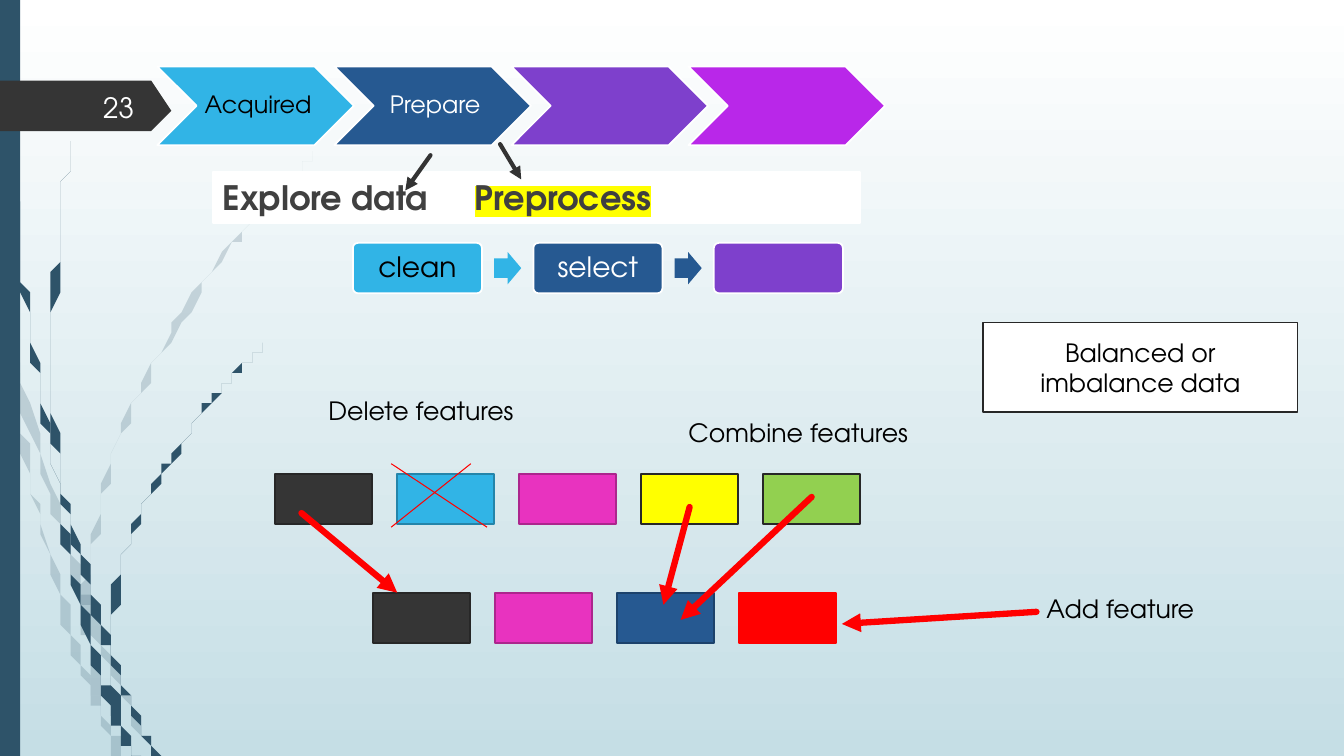
from lxml.etree import SubElement
from pptx import Presentation
from pptx.dml.color import RGBColor as Color
from pptx.enum.shapes import MSO_CONNECTOR as Connector, MSO_SHAPE as Preset
from pptx.enum.text import MSO_ANCHOR as Anchor, PP_ALIGN as Align
from pptx.oxml.ns import qn
from pptx.util import Inches, Pt

WHITE = Color(0xFF, 0xFF, 0xFF)
BLACK = Color(0x00, 0x00, 0x00)
MIST = Color(0xC5, 0xDE, 0xE5)
TEAL = Color(0x2E, 0x53, 0x69)
CHARCOAL = Color(0x35, 0x35, 0x35)
INK = Color(0x27, 0x27, 0x27)
ARROW_GREY = Color(0x33, 0x33, 0x33)
HEADING = Color(0x40, 0x40, 0x40)
SKY = Color(0x31, 0xB4, 0xE6)
SKY_EDGE = Color(0x24, 0x85, 0xAA)
NAVY = Color(0x26, 0x59, 0x91)
NAVY_EDGE = Color(0x1C, 0x42, 0x6B)
PURPLE = Color(0x7E, 0x40, 0xCC)
VIOLET = Color(0xB9, 0x27, 0xE9)
PINK = Color(0xE8, 0x33, 0xBF)
PINK_EDGE = Color(0xAC, 0x26, 0x8D)
YELLOW = Color(0xFF, 0xFF, 0x00)
GREEN = Color(0x92, 0xD0, 0x50)
RED = Color(0xFF, 0x00, 0x00)

CELL = Inches(0.1)
FONT = "TeX Gyre Adventor"

PALE_STRANDS = [
    ([(0, 29.9), (1.1, 35), (2.8, 47), (6.5, 62.1), (9.2, 69.3), (10.1, 71.4), (11.4, 75)],
     [(12.4, 75), (10.5, 71.1), (9.3, 68.3), (7, 61.9), (3.1, 46.9), (1.7, 37.6), (0.9, 32.2), (0, 28.2)]),
    ([(1.4, 34.5), (1.7, 37.6), (5.8, 52.2), (8.4, 59.9), (8.8, 61), (12.3, 69.4), (15, 75)],
     [(15.5, 75), (12.7, 69.2), (9.2, 60.7), (8.5, 58.6), (6.2, 52), (1.4, 34.5)]),
    ([(31.2, 15.3), (26.8, 19.7), (22.8, 24.4), (15.8, 34.8), (10.7, 46.1), (8.5, 58.4),
      (8.7, 64.6), (9.3, 68.3), (10.5, 71.1)],
     [(10.3, 70.6), (9.1, 64.6), (8.8, 61), (8.8, 58.4), (11, 46.2), (16, 34.9),
      (22.9, 24.5), (26.8, 19.8), (31.2, 15.4)]),
]
DARK_STRANDS = [
    ([(0.3, 0), (0.7, 11), (1.7, 23.3), (3.3, 35.5), (5.6, 47.7), (6.8, 55.7), (9.3, 65.9),
      (11.7, 72.2), (12.7, 74.9)],
     [(13.6, 74.9), (12.2, 71.9), (11, 69.1), (9.8, 65.7), (7.2, 55.6), (5.7, 47.7),
      (3.6, 35.5), (1.9, 23.2), (0.8, 10.9), (0.4, 0)]),
    ([(7, 14.1), (6.2, 19.3), (5.6, 24.5), (5.2, 34.9), (5.5, 44.9), (6.4, 50.5), (8.8, 59.2),
      (10.6, 64.5), (13.2, 70.8), (15.2, 74.9)],
     [(15.7, 74.9), (13.6, 70.6), (11.3, 64.9), (9.3, 59), (6, 47.2), (5.4, 34.9),
      (5.8, 24.5), (6.3, 19.3), (7, 14.1)]),
    ([(26, 34.4), (23.1, 37.3), (20.4, 40.5), (15.6, 47.4), (12.2, 55.1), (10.6, 63.1),
      (11, 69.1), (11.7, 72.2)],
     [(12.2, 71.9), (11.1, 65.6), (11.1, 63.3), (12.5, 55.2), (15.8, 47.6), (20.5, 40.6),
      (23.1, 37.4), (26.1, 34.4)]),
]


def smooth(points, steps=8):
    padded = [points[0], *points, points[-1]]
    curve = []
    for a, b, c, d in zip(padded, padded[1:], padded[2:], padded[3:]):
        for t in (step / steps for step in range(steps)):
            curve.append(tuple(
                q + t * (r - p) / 2 + t**2 * (2 * p - 5 * q + 4 * r - s) / 2
                + t**3 * (3 * q - p - 3 * r + s) / 2
                for p, q, r, s in zip(a, b, c, d)))
    return curve + [points[-1]]


class SlideBuilder:
    def __init__(self, slide):
        self.slide = slide
        self.shapes = slide.shapes

    def background(self, top, bottom):
        fill = self.slide.background.fill
        fill.gradient()
        fill.gradient_angle = 270
        for stop, color, position in zip(fill.gradient_stops, (top, bottom), (0, 1)):
            stop.color.rgb = color
            stop.position = position

    def paint(self, shape, fill, edge=None, opacity=None):
        shape.shadow.inherit = False
        shape.fill.solid()
        shape.fill.fore_color.rgb = fill
        if opacity:
            color = shape.fill._xPr.find(qn("a:solidFill"))[0]
            SubElement(color, qn("a:alpha"), val=str(opacity * 1000))
        if edge is None:
            shape.line.fill.background()
        else:
            shape.line.color.rgb = edge
            shape.line.width = Pt(1.25)
        return shape

    def put_text(self, shape, lines, size, color, align=Align.CENTER, spacing=None, wrap=True,
                 anchor=Anchor.MIDDLE, **margins):
        frame = shape.text_frame
        for name, value in {"word_wrap": wrap, "vertical_anchor": anchor, **margins}.items():
            setattr(frame, name, value)
        for index, line in enumerate(lines):
            paragraph = frame.paragraphs[0] if index == 0 else frame.add_paragraph()
            paragraph.alignment = align
            paragraph.line_spacing = spacing
            self.styled_run(paragraph, line, size, color)

    def styled_run(self, paragraph, text, size, color, bold=False):
        run = paragraph.add_run()
        run.text = text
        run.font.color.rgb = color
        for name, value in {"name": FONT, "size": Pt(size), "bold": bold}.items():
            setattr(run.font, name, value)
        return run

    def box(self, preset, column, row, columns, rows, fill, edge=None, adjustments=()):
        shape = self.shapes.add_shape(
            preset, *(round(n * CELL) for n in (column, row, columns, rows)))
        for index, value in enumerate(adjustments):
            shape.adjustments[index] = value
        return self.paint(shape, fill, edge)

    def outline(self, points, fill, opacity=None):
        builder = self.shapes.build_freeform(*points[0], scale=CELL)
        builder.add_line_segments(points[1:], close=True)
        return self.paint(builder.convert_to_shape(), fill, opacity=opacity)

    def label(self, column, row, columns, text, size=18, color=BLACK, **options):
        shape = self.shapes.add_textbox(
            *(round(n * CELL) for n in (column, row, columns, 4)))
        self.put_text(shape, [text], size, color, **options)

    def heading(self, shape, first, highlighted, tab):
        frame = shape.text_frame
        frame.word_wrap = True
        frame.vertical_anchor = Anchor.TOP
        paragraph = frame.paragraphs[0]
        paragraph.alignment = Align.LEFT
        tabs = SubElement(paragraph._p.get_or_add_pPr(), qn("a:tabLst"))
        SubElement(tabs, qn("a:tab"), pos=str(round(tab * CELL)), algn="l")
        self.styled_run(paragraph, first + "\t", 24, HEADING, bold=True)
        properties = self.styled_run(paragraph, highlighted, 24, HEADING, bold=True).font._element
        highlight = SubElement(properties, qn("a:highlight"))
        SubElement(highlight, qn("a:srgbClr"), val=str(YELLOW))
        properties.find(qn("a:solidFill")).addnext(highlight)

    def line(self, start, end, color, width, arrow=True):
        connector = self.shapes.add_connector(
            Connector.STRAIGHT, *(round(n * CELL) for n in (*start, *end)))
        connector.line.color.rgb = color
        connector.line.width = Pt(width)
        stroke = connector.line._get_or_add_ln()
        if arrow:
            stroke.set("cap", "rnd")
            SubElement(stroke, qn("a:tailEnd"), type="triangle")
        SubElement(connector._element.spPr, qn("a:effectLst"))


def main():
    presentation = Presentation()
    presentation.slide_width = Inches(13.33)
    presentation.slide_height = Inches(7.5)
    builder = SlideBuilder(presentation.slides.add_slide(presentation.slide_layouts[6]))

    builder.background(WHITE, MIST)
    for strands, opacity in ((PALE_STRANDS, 20), (DARK_STRANDS, None)):
        for near_edge, far_edge in strands:
            builder.outline(smooth(near_edge) + smooth(far_edge), TEAL, opacity)
    builder.box(Preset.RECTANGLE, 0, 0, 2, 75, TEAL)
    builder.outline([(0, 7.8), (14.7, 7.8), (17.4, 10.6), (14.7, 13.3), (0, 13.3)], CHARCOAL)
    builder.label(5.8, 8.6, 8.5, "23", size=20, color=WHITE, align=Align.RIGHT)

    heading_bar = builder.box(Preset.RECTANGLE, 21.1, 17.1, 64.2, 5, WHITE, WHITE)
    builder.heading(heading_bar, "Explore data", "Preprocess", 25)
    for start, end in (((42.7, 15.4), (40.2, 18.9)), ((49.6, 14.3), (51.7, 17.8))):
        builder.line(start, end, ARROW_GREY, 3)

    steps = [("clean", SKY, BLACK), ("select", NAVY, WHITE), ("", PURPLE, WHITE)]
    for index, (name, fill, color) in enumerate(steps):
        column = 35 + index * 17.9
        step = builder.box(Preset.ROUNDED_RECTANGLE, column, 24.1, 12.8, 5, fill, WHITE, [0.1])
        if name:
            builder.put_text(step, [name], 20, color, spacing=0.9)
        if index < len(steps) - 1:
            builder.box(Preset.RIGHT_ARROW, column + 14, 25, 2.7, 3.2, fill,
                        adjustments=[0.6, 0.5])

    feature_rows = [
        (27.3, 47, [(CHARCOAL, INK), (SKY, SKY_EDGE), (PINK, PINK_EDGE), (YELLOW, INK), (GREEN, INK)]),
        (37, 58.8, [(CHARCOAL, INK), (PINK, PINK_EDGE), (NAVY, NAVY_EDGE), (RED, RED)]),
    ]
    for left, row, features in feature_rows:
        for index, (fill, edge) in enumerate(features):
            builder.box(Preset.RECTANGLE, left + index * 12.1, row, 9.6, 5, fill, edge)

    for start, end in (((38.8, 46), (48.3, 52.3)), ((46.7, 46), (38.8, 52.3))):
        builder.line(start, end, RED, 0.75, arrow=False)
    for start, end in (((29.9, 50.9), (39.4, 58.8)), ((68.4, 50.3), (65.8, 60)),
                       ((80.5, 49.3), (67.5, 61.5)), ((102.8, 60.7), (83.5, 61.9))):
        builder.line(start, end, RED, 4.5)

    for column, row, columns, text in ((102.8, 58.4, 17, "Add feature"),
                                       (67.3, 40.9, 24.1, "Combine features"),
                                       (31.6, 38.7, 20.7, "Delete features")):
        builder.label(column, row, columns, text, align=Align.LEFT, wrap=False,
                      anchor=Anchor.TOP)
    balance_box = builder.box(Preset.RECTANGLE, 97.5, 32, 31.2, 8.9, WHITE, INK)
    builder.put_text(balance_box, ["Balanced or", "imbalance data"], 18, BLACK)

    stages = [("Acquired", SKY, BLACK), ("Prepare", NAVY, WHITE), ("", PURPLE, WHITE), ("", VIOLET, WHITE)]
    for index, (name, fill, color) in enumerate(stages):
        stage = builder.box(Preset.CHEVRON, 15.6 + index * 17.56, 6.6, 19.5, 7.8, fill, WHITE)
        if name:
            builder.put_text(stage, [name], 17, color, spacing=0.9,
                             margin_left=Inches(0.07), margin_right=Inches(0.02))

    presentation.save("out.pptx")


if __name__ == "__main__":
    main()
